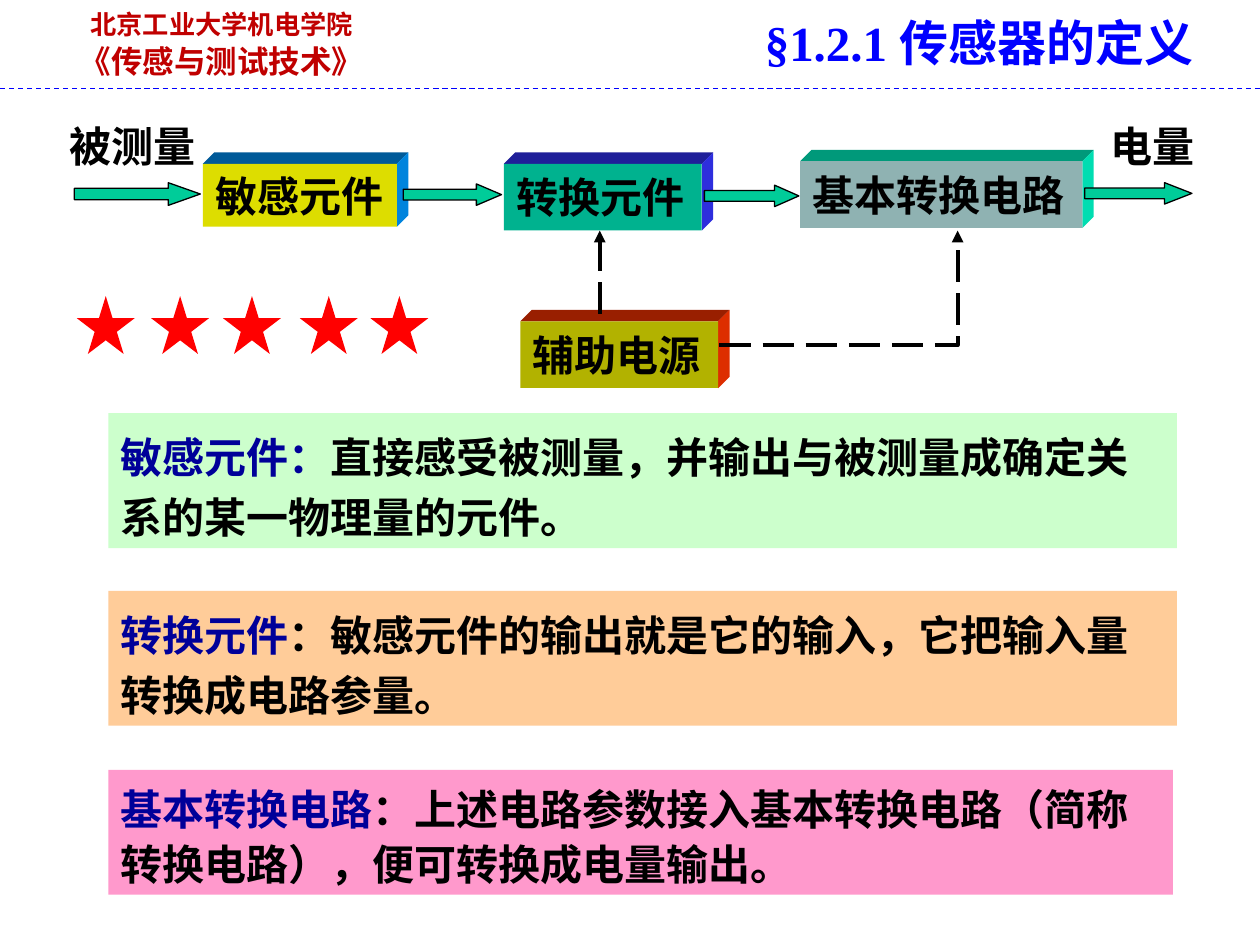
from dataclasses import dataclass

import pptx
import pptx.dml.color
import pptx.enum.dml
import pptx.enum.shapes
import pptx.enum.text
import pptx.oxml.ns
import pptx.util
from lxml import etree

Inches = pptx.util.Inches
Pt = pptx.util.Pt
Shape = pptx.enum.shapes.MSO_SHAPE
Align = pptx.enum.text.PP_ALIGN
Anchor = pptx.enum.text.MSO_ANCHOR
Dash = pptx.enum.dml.MSO_LINE


@dataclass(frozen=True)
class Theme:
    latin: str = "Times New Roman"
    asian: str = "Noto Sans CJK SC"
    title: int = 28
    body: int = 24
    course: int = 18
    school: int = 15
    black: str = "000000"
    blue: str = "0000FF"
    navy: str = "000099"
    crimson: str = "C00000"
    red: str = "FF0000"
    arrow: str = "00CC99"


THEME = Theme()
DEPTH = 0.09


def rgb(code):
    return pptx.dml.color.RGBColor.from_string(code)


def add_tag(parent, tag, **attrs):
    etree.SubElement(parent, pptx.oxml.ns.qn(tag), attrs)


def add_run(para, text, size, color):
    run = para.add_run()
    run.text = text
    font = run.font
    font.size, font.bold, font.name = Pt(size), True, THEME.latin
    font.color.rgb = rgb(color)
    add_tag(font._element, "a:ea", typeface=THEME.asian)


def set_frame(shape, anchor=Anchor.MIDDLE, wrap=True, side=0.1):
    frame = shape.text_frame
    frame.word_wrap, frame.vertical_anchor = wrap, anchor
    frame.auto_size = pptx.enum.text.MSO_AUTO_SIZE.NONE
    frame.margin_left = frame.margin_right = Inches(side)
    frame.margin_top = frame.margin_bottom = Inches(0.05)
    frame.paragraphs[0].alignment = Align.LEFT
    return frame


def paint(shape, fill, line=None):
    shape.shadow.inherit = False
    shape.fill.solid()
    shape.fill.fore_color.rgb = rgb(fill)
    if line:
        shape.line.color.rgb = rgb(line)
        shape.line.width = Pt(0.75)
    else:
        shape.line.fill.background()


def add_shape(slide, kind, place, fill, line=None):
    shape = slide.shapes.add_shape(kind, *map(Inches, place))
    paint(shape, fill, line)
    return shape


def add_path(slide, points, close):
    start, *rest = [(Inches(x), Inches(y)) for x, y in points]
    path = slide.shapes.build_freeform(*start)
    path.add_line_segments(rest, close=close)
    return path.convert_to_shape()


def add_block(slide, text, place, front, top, side):
    """Draw a labelled box with a top and a right face set back by DEPTH."""
    x, y, w, h = place
    right, low, back, high = x + w, y + h, x + w + DEPTH, y - DEPTH
    faces = (
        ([(x, y), (x + DEPTH, high), (back, high), (right, y)], top),
        ([(right, y), (back, high), (back, low - DEPTH), (right, low)], side),
    )
    for points, color in faces:
        paint(add_path(slide, points, True), color)
    box = add_shape(slide, Shape.RECTANGLE, place, front)
    para = set_frame(box, wrap=False).paragraphs[0]
    add_run(para, text, THEME.body, THEME.black)


def add_arrow(slide, place, head):
    arrow = add_shape(slide, Shape.RIGHT_ARROW, place, THEME.arrow, THEME.black)
    arrow.adjustments[0], arrow.adjustments[1] = 0.5, head


def style_line(shape, color, width, dash, head=False):
    line = shape.line
    line.color.rgb, line.width, line.dash_style = rgb(color), Pt(width), dash
    if head:
        add_tag(line._get_or_add_ln(), "a:tailEnd", type="triangle")


def add_line(slide, start, end, *style):
    ends = [Inches(n) for n in (*start, *end)]
    line = slide.shapes.add_connector(pptx.enum.shapes.MSO_CONNECTOR.STRAIGHT, *ends)
    style_line(line, *style)
    add_tag(line._element.spPr, "a:effectLst")


def add_elbow(slide, points, *style):
    elbow = add_path(slide, points, False)
    elbow.shadow.inherit = False
    elbow.fill.background()
    style_line(elbow, *style)


def add_label(slide, text, place, align):
    box = slide.shapes.add_textbox(*map(Inches, place))
    para = set_frame(box, side=0).paragraphs[0]
    para.alignment = align
    add_run(para, text, THEME.body, THEME.black)


def add_note(slide, term, text, place, fill, pitch):
    box = add_shape(slide, Shape.RECTANGLE, place, fill)
    para = set_frame(box, Anchor.BOTTOM).paragraphs[0]
    para.line_spacing = Pt(pitch)
    add_run(para, term, THEME.body, THEME.navy)
    add_run(para, text, THEME.body, THEME.black)


def add_header(slide):
    box = slide.shapes.add_textbox(*map(Inches, (0.51, 0.01, 2.5, 0.66)))
    frame = set_frame(box, Anchor.TOP)
    lines = (("北京工业大学机电学院", THEME.school), ("《传感与测试技术》", THEME.course))
    for i, (text, size) in enumerate(lines):
        para = frame.add_paragraph() if i else frame.paragraphs[0]
        para.alignment = Align.CENTER
        para.line_spacing = Pt(size * 1.25)
        add_run(para, text, size, THEME.crimson)
    add_line(slide, (0, 0.7), (10, 0.7), THEME.blue, 0.75, Dash.DASH)

    title = slide.shapes.title
    title.left, title.top, title.width, title.height = map(
        Inches, (5.97, 0.05, 4.03, 0.57))
    para = set_frame(title).paragraphs[0]
    add_run(para, "§1.2.1 传感器的定义", THEME.title, THEME.blue)


def add_diagram(slide):
    blocks = (
        ("辅助电源", (4.13, 2.55, 1.57, 0.53), "B2B200", "991F00", "DD2E00"),
        ("敏感元件", (1.61, 1.3, 1.54, 0.5), "DDDD00", "005A99", "0084DD"),
        ("转换元件", (4, 1.3, 1.57, 0.53), "00B28F", "1F1F99", "2E2EDD"),
        ("基本转换电路", (6.35, 1.28, 2.24, 0.53), "8FB2B2", "00997A", "00DDB1"),
    )
    for block in blocks:
        add_block(slide, *block)
    arrows = (
        ((0.59, 1.45, 1, 0.18), 1.41),
        ((3.2, 1.46, 0.78, 0.17), 1.17),
        ((5.59, 1.47, 0.75, 0.17), 1.13),
        ((8.61, 1.45, 0.85, 0.17), 1.28),
    )
    for place, head in arrows:
        add_arrow(slide, place, head)
    power = (THEME.black, 2.25, Dash.LONG_DASH, True)
    add_line(slide, (4.76, 2.49), (4.76, 1.83), *power)
    add_elbow(slide, [(5.71, 2.74), (7.6, 2.74), (7.6, 1.83)], *power)
    add_label(slide, "被测量", (0.55, 0.91, 1.46, 0.5), Align.LEFT)
    add_label(slide, "电量", (8.62, 0.91, 1.06, 0.5), Align.CENTER)


def main():
    deck = pptx.Presentation()
    deck.slide_width, deck.slide_height = Inches(10), Inches(7.5)
    slide = deck.slides.add_slide(deck.slide_layouts[5])
    add_header(slide)
    add_diagram(slide)
    notes = (
        ("敏感元件：", "直接感受被测量，并输出与被测量成确定关系的某一物理量的元件。",
         (0.86, 3.28, 8.48, 1.07), "CCFFCC", 34.3),
        ("转换元件", "：敏感元件的输出就是它的输入，它把输入量转换成电路参量。",
         (0.86, 4.69, 8.48, 1.07), "FFCC99", 34.3),
        ("基本转换电路", "：上述电路参数接入基本转换电路（简称转换电路），便可转换成电量输出。",
         (0.86, 6.11, 8.45, 0.99), "FF99CC", 31.4),
    )
    for note in notes:
        add_note(slide, *note)
    for x in (0.61, 1.2, 1.77, 2.38, 2.94):
        add_shape(slide, Shape.STAR_5_POINT, (x, 2.35, 0.46, 0.46), THEME.red)
    deck.save("out.pptx")


if __name__ == "__main__":
    main()
